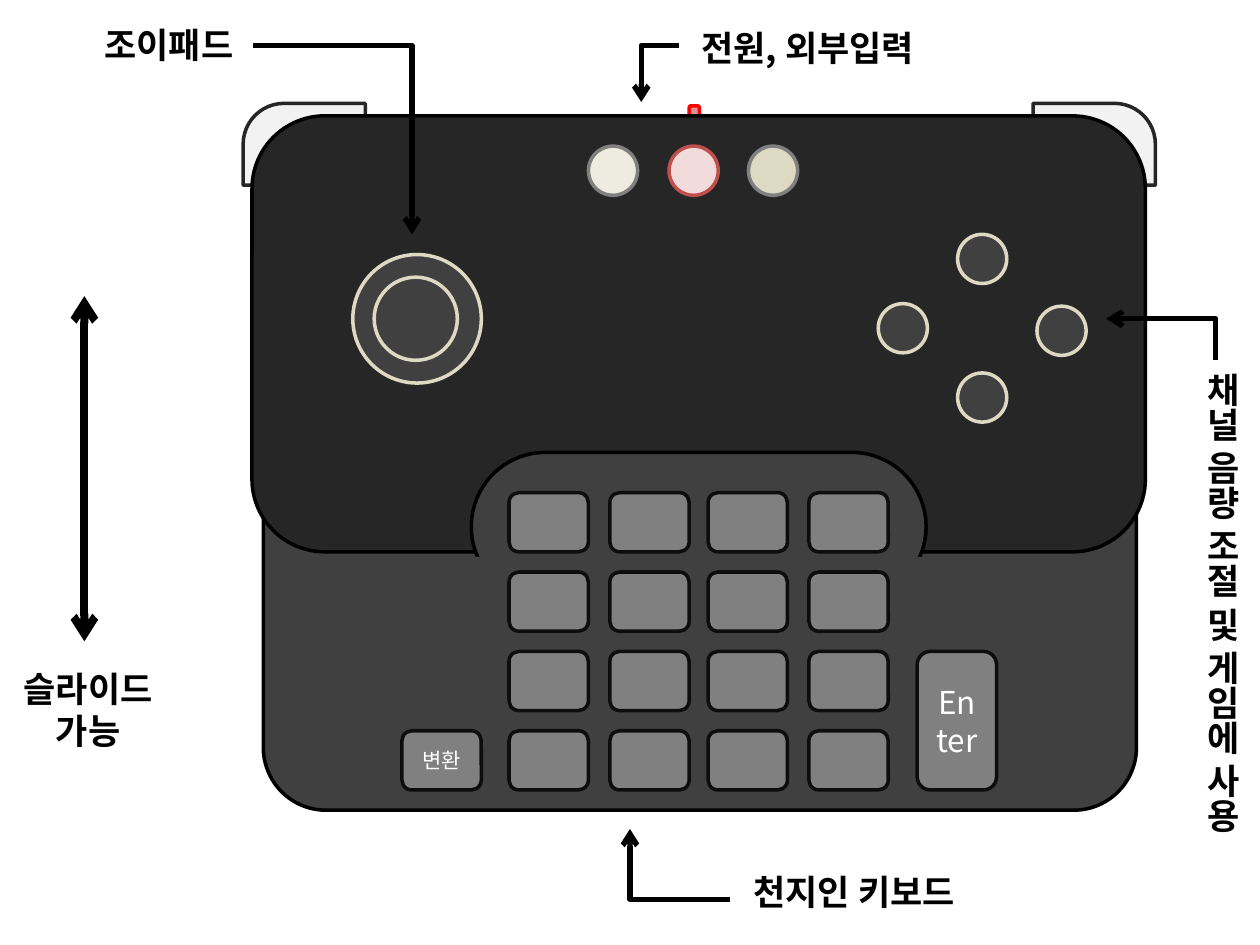
from lxml.etree import SubElement
from pptx import Presentation
from pptx.dml.color import RGBColor
from pptx.enum.shapes import MSO_CONNECTOR as Connector, MSO_SHAPE as Shape
from pptx.enum.text import MSO_ANCHOR as Anchor, MSO_AUTO_SIZE as AutoSize, PP_ALIGN as Align
from pptx.oxml.ns import qn
from pptx.util import Inches, Pt

FONT = "Noto Sans CJK KR"
BLACK = RGBColor(0x00, 0x00, 0x00)
WHITE = RGBColor(0xFF, 0xFF, 0xFF)
CASE = RGBColor(0x26, 0x26, 0x26)
PANEL = RGBColor(0x40, 0x40, 0x40)
GRAY = RGBColor(0x80, 0x80, 0x80)
KEY_EDGE = RGBColor(0x0D, 0x0D, 0x0D)
SHOULDER = RGBColor(0xF2, 0xF2, 0xF2)
BEIGE = RGBColor(0xDD, 0xD9, 0xC3)
CREAM = RGBColor(0xEE, 0xEC, 0xE1)
PINK = RGBColor(0xF2, 0xDC, 0xDB)
BRICK = RGBColor(0xC0, 0x50, 0x4D)
LAMP = RGBColor(0xD9, 0x96, 0x94)
RED = RGBColor(0xFF, 0x00, 0x00)

KEY_WIDTH, KEY_HEIGHT, KEY_PITCH = 0.63, 0.47, 0.63
KEY_COLUMNS = (4.04, 4.84, 5.62, 6.42)
KEY_TOP = 3.91
BUTTON = 0.39


def add_block(slide, kind, left, top, width, height, fill, line=None, corner=None):
    shape = slide.shapes.add_shape(
        kind, Inches(left), Inches(top), Inches(width), Inches(height))
    shape.shadow.inherit = False
    shape.fill.solid()
    shape.fill.fore_color.rgb = fill
    if line is None:
        shape.line.fill.background()
    else:
        shape.line.color.rgb = line
        shape.line.width = Pt(2)
    if corner is not None:
        shape.adjustments[0] = corner
    return shape


def add_circle(slide, left, top, size, fill, line):
    add_block(slide, Shape.OVAL, left, top, size, size, fill, line)


def write_lines(frame, lines, size, color, bold=False):
    """Put each line in its own centred paragraph."""
    for index, line in enumerate(lines):
        paragraph = frame.add_paragraph() if index else frame.paragraphs[0]
        paragraph.alignment = Align.CENTER
        run = paragraph.add_run()
        run.text = line
        run.font.size = Pt(size)
        run.font.bold = bold
        run.font.name = FONT
        run.font.color.rgb = color
        SubElement(run.font._element, qn("a:ea")).set("typeface", FONT)


def add_key(slide, left, top, height=KEY_HEIGHT, lines=(), size=18):
    key = add_block(slide, Shape.ROUNDED_RECTANGLE, left, top, KEY_WIDTH, height,
                    GRAY, KEY_EDGE)
    key.text_frame.vertical_anchor = Anchor.MIDDLE
    write_lines(key.text_frame, lines, size, WHITE)


def add_label(slide, left, top, width, height, lines, vertical=False):
    box = slide.shapes.add_textbox(
        Inches(left), Inches(top), Inches(width), Inches(height))
    frame = box.text_frame
    frame.word_wrap = False
    frame.auto_size = AutoSize.SHAPE_TO_FIT_TEXT
    if vertical:
        frame._txBody.bodyPr.set("vert", "eaVert")
    write_lines(frame, lines, 20, BLACK, bold=True)


def add_arrow(slide, start, end, width, ends=("tailEnd",), bent=False):
    """Draw an arrow; a bent one runs across first, then up or down."""
    kind = Connector.ELBOW if bent else Connector.STRAIGHT
    arrow = slide.shapes.add_connector(kind, *map(Inches, start + end))
    arrow.line.color.rgb = BLACK
    arrow.line.width = Pt(width)
    properties = arrow._element.spPr
    if bent:
        properties.find(qn("a:prstGeom")).set("prst", "bentConnector2")
    for name in ends:
        SubElement(arrow.line._get_or_add_ln(), qn(f"a:{name}")).set("type", "arrow")
    SubElement(properties, qn("a:effectLst"))


def add_case(slide):
    left_shoulder = add_block(slide, Shape.ROUND_1_RECTANGLE, 1.93, 0.82, 0.97, 0.65,
                              SHOULDER, CASE, 0.5)
    left_shoulder._element.spPr.find(qn("a:xfrm")).set("flipH", "1")
    add_block(slide, Shape.ROUND_1_RECTANGLE, 8.2, 0.82, 0.97, 0.65, SHOULDER, CASE, 0.5)
    rounded = Shape.ROUNDED_RECTANGLE
    add_block(slide, rounded, 2.09, 3.44, 6.93, 2.99, PANEL, BLACK)
    add_block(slide, rounded, 5.47, 0.84, 0.08, 0.08, LAMP, RED)
    add_block(slide, rounded, 2.0, 0.92, 7.09, 3.46, CASE, BLACK)
    add_block(slide, rounded, 3.74, 3.59, 3.61, 1.18, PANEL, BLACK, 0.5)
    add_block(slide, Shape.RECTANGLE, 3.27, 4.42, 5.04, 1.14, PANEL)


def add_controls(slide):
    for left, top in ((7.6, 1.86), (6.97, 2.41), (8.23, 2.43), (7.6, 2.96)):
        add_circle(slide, left, top, BUTTON, PANEL, BEIGE)
    add_circle(slide, 2.8, 2.02, 1.02, PANEL, BEIGE)
    add_circle(slide, 2.97, 2.2, 0.66, PANEL, BEIGE)
    for left, fill, line in ((4.67, CREAM, GRAY), (5.31, PINK, BRICK), (5.94, BEIGE, GRAY)):
        add_circle(slide, left, 1.16, BUTTON, fill, line)


def add_keyboard(slide):
    row_tops = [KEY_TOP + row * KEY_PITCH for row in range(4)]
    for top in row_tops:
        for left in KEY_COLUMNS:
            add_key(slide, left, top)
    add_key(slide, 3.19, row_tops[3], lines=["변환"], size=12)
    add_key(slide, 7.28, row_tops[2], KEY_PITCH + KEY_HEIGHT, ["En", "ter"])


def add_callouts(slide):
    add_arrow(slide, (0.67, 2.35), (0.67, 5.09), 4.5, ("headEnd", "tailEnd"))
    add_label(slide, 0.04, 5.25, 1.32, 0.77, ["슬라이드", "가능"])
    add_arrow(slide, (5.79, 7.14), (5.0, 6.58), 3, bent=True)
    add_label(slide, 5.79, 6.86, 1.98, 0.44, ["천지인 키보드"])
    add_arrow(slide, (5.39, 0.36), (5.09, 0.81), 3, bent=True)
    add_label(slide, 5.38, 0.16, 2.06, 0.44, ["전원, 외부입력"])
    add_arrow(slide, (2.01, 0.36), (3.27, 1.86), 3, bent=True)
    add_label(slide, 0.68, 0.14, 1.32, 0.44, ["조이패드"])
    add_arrow(slide, (8.78, 2.53), (9.65, 2.86), 3, ("headEnd",), bent=True)
    add_label(slide, 9.38, 2.86, 0.54, 4.17, ["채널 음량 조절 및 게임에 사용"], vertical=True)


def main():
    presentation = Presentation()
    presentation.slide_width, presentation.slide_height = Inches(10), Inches(7.5)
    slide = presentation.slides.add_slide(presentation.slide_layouts[6])
    add_case(slide)
    add_controls(slide)
    add_keyboard(slide)
    add_callouts(slide)
    presentation.save("out.pptx")


if __name__ == "__main__":
    main()
